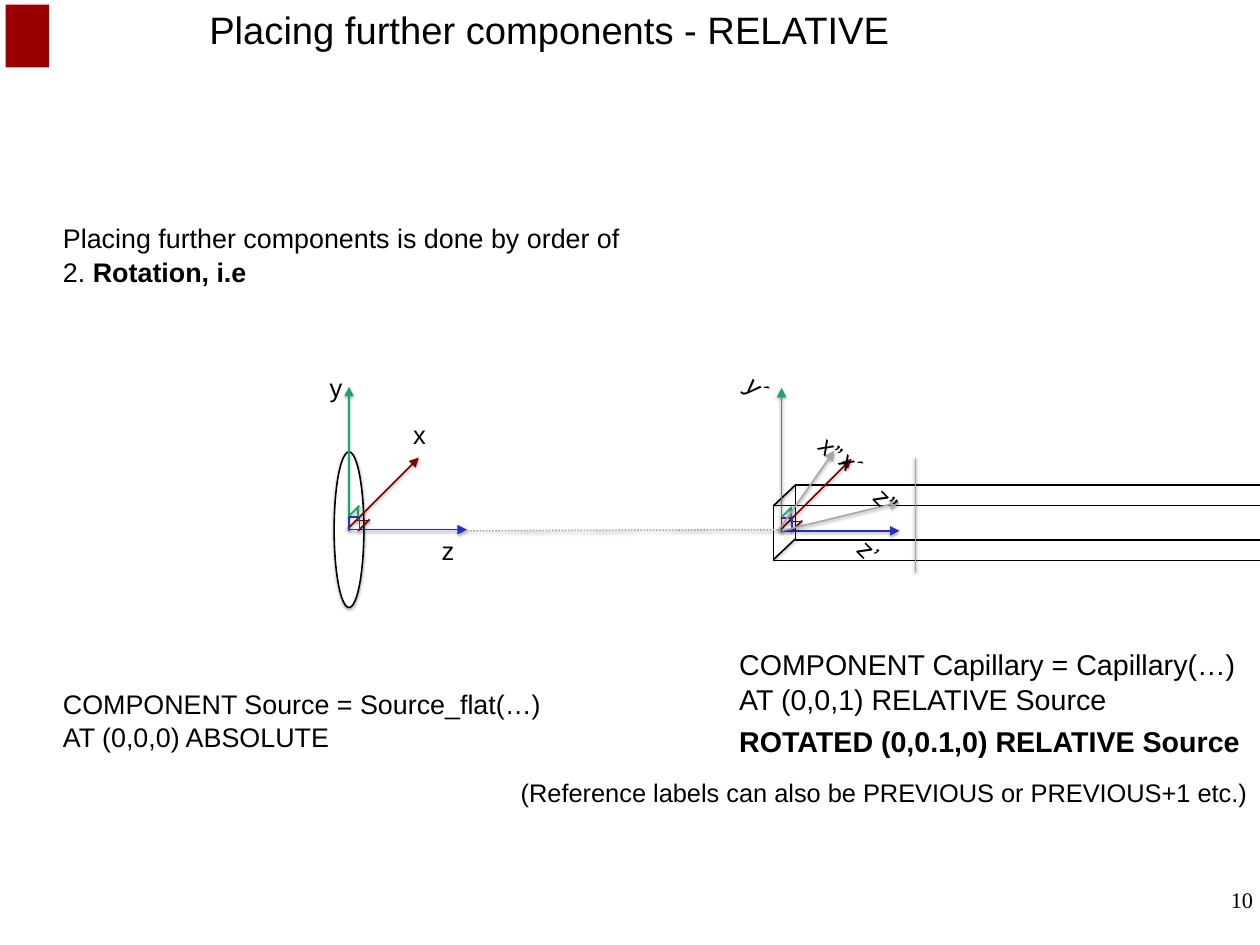
from lxml import etree
from pptx import Presentation
from pptx.dml.color import RGBColor
from pptx.enum import dml, shapes, text
from pptx.oxml import ns
from pptx.util import Inches, Pt

COLORS = {
    "ink": "000000", "paper": "FFFFFF", "brand": "990000", "grey": "A7A7A7",
    "x": "7A0000", "y": "19A668", "z": "2632BB",
}


def color(name):
    return RGBColor.from_string(COLORS[name])


def add_shadow(shape):
    """Give a shape or connector a soft shadow straight below it."""
    properties = shape._element.spPr
    effects = properties.find(ns.qn("a:effectLst"))
    if effects is None:
        effects = etree.SubElement(properties, ns.qn("a:effectLst"))
    outer = etree.SubElement(effects, ns.qn("a:outerShdw"), blurRad=str(Pt(2)),
                             dist=str(Pt(1)), dir="5400000", rotWithShape="0")
    tint = etree.SubElement(outer, ns.qn("a:srgbClr"), val=COLORS["ink"])
    etree.SubElement(tint, ns.qn("a:alpha"), val="38000")


def add_line(page, start, end, name, arrow=False, dotted=False):
    line = page.shapes.add_connector(
        shapes.MSO_CONNECTOR.STRAIGHT, *(Inches(v) for v in (*start, *end)))
    line.line.color.rgb = color(name)
    line.line.width = Pt(1)
    if dotted:
        line.line.dash_style = dml.MSO_LINE.ROUND_DOT
    if arrow:
        etree.SubElement(line.line._get_or_add_ln(), ns.qn("a:tailEnd"), type="triangle")
    add_shadow(line)


def style_shape(shape, fill=None, line=None):
    shape.shadow.inherit = False
    if fill:
        shape.fill.solid()
        shape.fill.fore_color.rgb = color(fill)
    else:
        shape.fill.background()
    if line:
        shape.line.color.rgb = color(line)
        shape.line.width = Pt(1)
    else:
        shape.line.fill.background()


def add_shape(page, kind, box, fill=None, line=None):
    shape = page.shapes.add_shape(kind, *(Inches(v) for v in box))
    style_shape(shape, fill, line)
    return shape


def add_text(page, box, paragraphs, size, font="Arial", align=text.PP_ALIGN.LEFT,
             anchor=text.MSO_ANCHOR.TOP, space=0, spacing=None):
    """Each paragraph is a list of (words, bold) runs."""
    frame_box = page.shapes.add_textbox(*(Inches(v) for v in box))
    frame = frame_box.text_frame
    frame.word_wrap = True
    frame.vertical_anchor = anchor
    frame.margin_left = frame.margin_right = frame.margin_top = frame.margin_bottom = 0
    for index, runs in enumerate(paragraphs):
        para = frame.paragraphs[0]
        if index:
            para = frame.add_paragraph()
            para.space_before = Pt(space)
        para.alignment = align
        if spacing:
            para.line_spacing = spacing
        para.text = runs[0][0]
        for words, _ in runs[1:]:
            para.add_run().text = words
        para.font.name = font
        para.font.size = Pt(size)
        para.font.color.rgb = color("ink")
        if all(bold for _, bold in runs):
            para.font.bold = True
        else:
            for words, bold in runs:
                if bold:
                    para.runs[-1].font.bold = True
    return frame_box


def add_axes(page, left, top):
    """Draw x, y and z arrows with right-angle marks around an origin."""
    lines = [
        ("y", (0, 0.01), (0, -1.25), True),
        ("z", (0, 0), (1.03, 0), True),
        ("x", (-0.01, -0.01), (0.61, -0.63), True),
        ("x", (0.06, -0.08), (0.18, -0.08), False),
        ("x", (0.08, 0.01), (0.18, -0.09), False),
        ("y", (0, -0.12), (0.09, -0.21), False),
        ("y", (0.08, -0.12), (0.08, -0.21), False),
    ]
    for name, start, end, arrow in lines:
        add_line(page, (left + start[0], top + start[1]),
                 (left + end[0], top + end[1]), name, arrow)
    add_shape(page, shapes.MSO_SHAPE.RECTANGLE, (left, top - 0.11, 0.09, 0.11), line="z")


def add_source(page, left, top):
    """Draw the source disc and its labelled axes around an origin."""
    disc = add_shape(page, shapes.MSO_SHAPE.OVAL,
                     (left - 0.13, top - 0.68, 0.26, 1.36), "paper", "ink")
    add_shadow(disc)
    add_axes(page, left, top)
    for label, dx, dy in (("x", 0.56, -0.97), ("y", -0.17, -1.38), ("z", 0.81, 0.05)):
        add_text(page, (left + dx, top + dy, 0.14, 0.24), [[(label, False)]], 16)


def add_capillary(page, left, top):
    """Draw the capillary, its axes and the rotated axes around an origin."""
    # Tube: back face, front face and the edges between them
    front = (left - 0.07, top - 0.22)
    back = (left + 0.12, top - 0.4)
    width, height = 5.14, 0.48
    add_shape(page, shapes.MSO_SHAPE.RECTANGLE, (*back, width, height), "paper", "ink")
    add_shape(page, shapes.MSO_SHAPE.RECTANGLE, (*front, width, height), line="ink")
    for drop in (0, height - 0.01):
        add_line(page, (front[0], front[1] + drop), (back[0], back[1] + drop), "ink")

    # Axes before and after the rotation
    add_axes(page, left, top)
    add_line(page, (left - 0.03, top), (left + 0.46, top - 0.7), "grey", arrow=True)
    add_line(page, (left, top), (left + 1.03, top - 0.25), "grey", arrow=True)

    # Tilted labels, placed by their centres
    label_width, label_height = 0.25, 0.25
    for label, dx, dy in (("x´", 0.62, -0.59), ("y´", -0.2, -1.25), ("z’", 0.77, 0.17),
                          ("x”", 0.44, -0.72), ("z”", 0.92, -0.28)):
        tilted = add_text(page, (left + dx - label_width / 2, top + dy - label_height / 2,
                                 label_width, label_height),
                          [[(label, False)]], 16, align=text.PP_ALIGN.CENTER)
        tilted.rotation = 45

    # Angle arc
    steps, bulge, span = 12, 0.08, 0.19
    points = [(left + 0.79 + 4 * bulge * t * (1 - t), top - 0.2 + span * t)
              for t in (step / steps for step in range(steps + 1))]
    builder = page.shapes.build_freeform(*points[0], scale=Inches(1))
    builder.add_line_segments(points[1:], close=False)
    arc = builder.convert_to_shape()
    style_shape(arc, line="grey")
    add_shadow(arc)


def add_header(page, left, top):
    """Place the emblem block and the title."""
    add_shape(page, shapes.MSO_SHAPE.RECTANGLE, (left + 0.05, top + 0.04, 0.38, 0.55), "brand")
    add_text(page, (left + 1.57, top - 0.04, 6.46, 0.59),
             [[("Placing further components - RELATIVE", False)]], 24,
             align=text.PP_ALIGN.CENTER, anchor=text.MSO_ANCHOR.MIDDLE)


def add_explanations(page, left, top):
    """Place the introduction, the component code and the note."""
    add_text(page, (left, top, 9.92, 0.6),
             [[("Placing further components is done by order of\v2. ", False),
               ("Rotation, i.e", True)]], 16.9, spacing=1.04)
    add_text(page, (left, top + 4.07, 5, 0.6),
             [[("COMPONENT Source = Source_flat(…)\vAT (0,0,0) ABSOLUTE", False)]],
             16.9, spacing=1.04)
    add_text(page, (left + 5.91, top + 3.71, 4.5, 0.93),
             [[("COMPONENT Capillary = Capillary(…)\vAT (0,0,1) RELATIVE Source", False)],
              [("ROTATED (0,0.1,0) RELATIVE Source", True)]], 18, space=4, spacing=1.04)
    add_text(page, (left + 4, top + 4.86, 6.45, 0.24),
             [[("(Reference labels can also be PREVIOUS or PREVIOUS+1 etc.)", False)]], 16)


def main():
    deck = Presentation()
    deck.slide_width, deck.slide_height = Inches(11.01), Inches(8.26)
    page = deck.slides.add_slide(deck.slide_layouts[6])
    add_header(page, 0, 0)
    add_source(page, 3.05, 4.63)
    add_capillary(page, 6.83, 4.64)
    add_line(page, (4.08, 4.64), (6.82, 4.63), "grey", dotted=True)
    add_explanations(page, 0.55, 1.93)
    # Page number
    add_text(page, (8.38, 7.75, 2.57, 0.44), [[("10", False)]], 14,
             font="Times New Roman", align=text.PP_ALIGN.RIGHT)
    deck.save("out.pptx")


if __name__ == "__main__":
    main()
